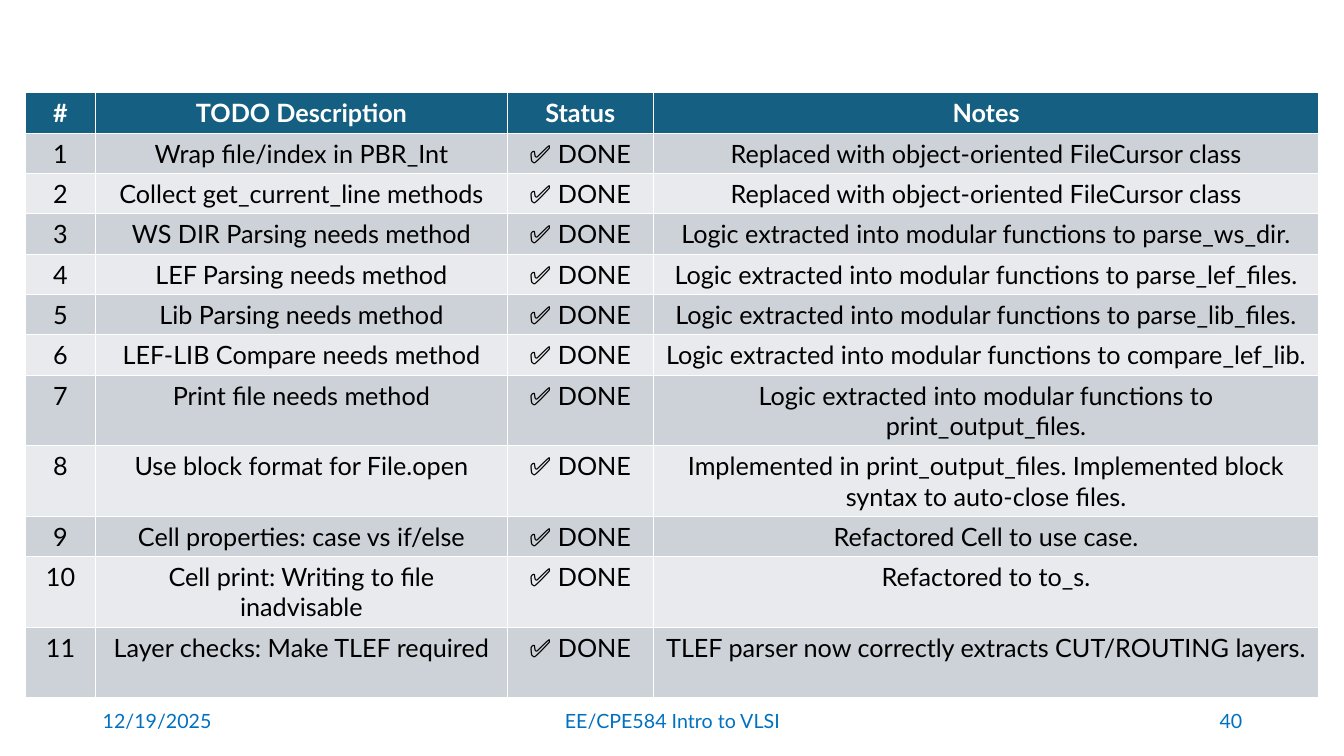
from pptx import Presentation
from pptx.dml.color import RGBColor
from pptx.enum.text import MSO_ANCHOR as Anchor, PP_ALIGN as Align
from pptx.util import Inches, Pt

FONT = "Lato"
HEADERS = ["#", "TODO Description", "Status", "Notes"]
STATUS = "✅ DONE"
CURSOR_NOTE = "Replaced with object-oriented FileCursor class"
LOGIC_NOTE = "Logic extracted into modular functions to "
TODOS = [
    ("Wrap file/index in PBR_Int", CURSOR_NOTE),
    ("Collect get_current_line methods", CURSOR_NOTE),
    ("WS DIR Parsing needs method", LOGIC_NOTE + "parse_ws_dir."),
    ("LEF Parsing needs method", LOGIC_NOTE + "parse_lef_files."),
    ("Lib Parsing needs method", LOGIC_NOTE + "parse_lib_files."),
    ("LEF-LIB Compare needs method", LOGIC_NOTE + "compare_lef_lib."),
    ("Print file needs method", LOGIC_NOTE + "print_output_files."),
    ("Use block format for File.open",
     "Implemented in print_output_files. "
     "Implemented block syntax to auto-close files."),
    ("Cell properties: case vs if/else", "Refactored Cell to use case."),
    ("Cell print: Writing to file inadvisable", "Refactored to to_s."),
    ("Layer checks: Make TLEF required",
     "TLEF parser now correctly extracts CUT/ROUTING layers."),
]
COL_WIDTHS = [0.7, 4.08, 1.45, 6.6]
ROW_HEIGHT, TALL_HEIGHT = 0.4, 0.7
TALL_ROWS = {7, 8, 10, 11}


def color(value):
    return RGBColor.from_string(value)


def style_paragraph(p, size, value, align, bold=False):
    p.alignment = align
    p.font.name = FONT
    p.font.size = Pt(size)
    p.font.bold = bold
    p.font.color.rgb = color(value)


def add_todo_table(slide, left, top):
    rows = [HEADERS] + [(str(n), todo, STATUS, note)
                        for n, (todo, note) in enumerate(TODOS, 1)]
    heights = [TALL_HEIGHT if i in TALL_ROWS else ROW_HEIGHT
               for i in range(len(rows))]
    table = slide.shapes.add_table(
        len(rows), len(COL_WIDTHS), Inches(left), Inches(top),
        Inches(sum(COL_WIDTHS)), Inches(sum(heights))).table
    for column, width in zip(table.columns, COL_WIDTHS):
        column.width = Inches(width)

    for i, (texts, height) in enumerate(zip(rows, heights)):
        table.rows[i].height = Inches(height)
        header = i == 0
        fill = "156082" if header else "CCD2D8" if i % 2 else "E8EAED"
        for j, text in enumerate(texts):
            cell = table.cell(i, j)
            cell.text = text
            cell.fill.solid()
            cell.fill.fore_color.rgb = color(fill)
            style_paragraph(cell.text_frame.paragraphs[0], 18,
                            "FFFFFF" if header else "000000",
                            Align.CENTER, header)


def add_footer(slide, top, height):
    parts = [
        ("12/19/2025", 0.92, 3, Align.LEFT),
        ("EE/CPE584 Intro to VLSI", 4.42, 4.5, Align.CENTER),
        ("40", 9.42, 3, Align.RIGHT),
    ]
    for text, left, width, align in parts:
        tf = slide.shapes.add_textbox(Inches(left), Inches(top), Inches(width),
                                      Inches(height)).text_frame
        tf.word_wrap = True
        tf.vertical_anchor = Anchor.MIDDLE
        tf.text = text
        style_paragraph(tf.paragraphs[0], 14, "0070C0", align)


def main():
    prs = Presentation()
    prs.slide_width, prs.slide_height = Inches(13.33), Inches(7.5)
    slide = prs.slides.add_slide(prs.slide_layouts[6])
    # Footer line
    add_footer(slide, 6.95, 0.4)
    # Table of finished tasks
    add_todo_table(slide, 0.25, 0.92)
    prs.save("out.pptx")


if __name__ == "__main__":
    main()
